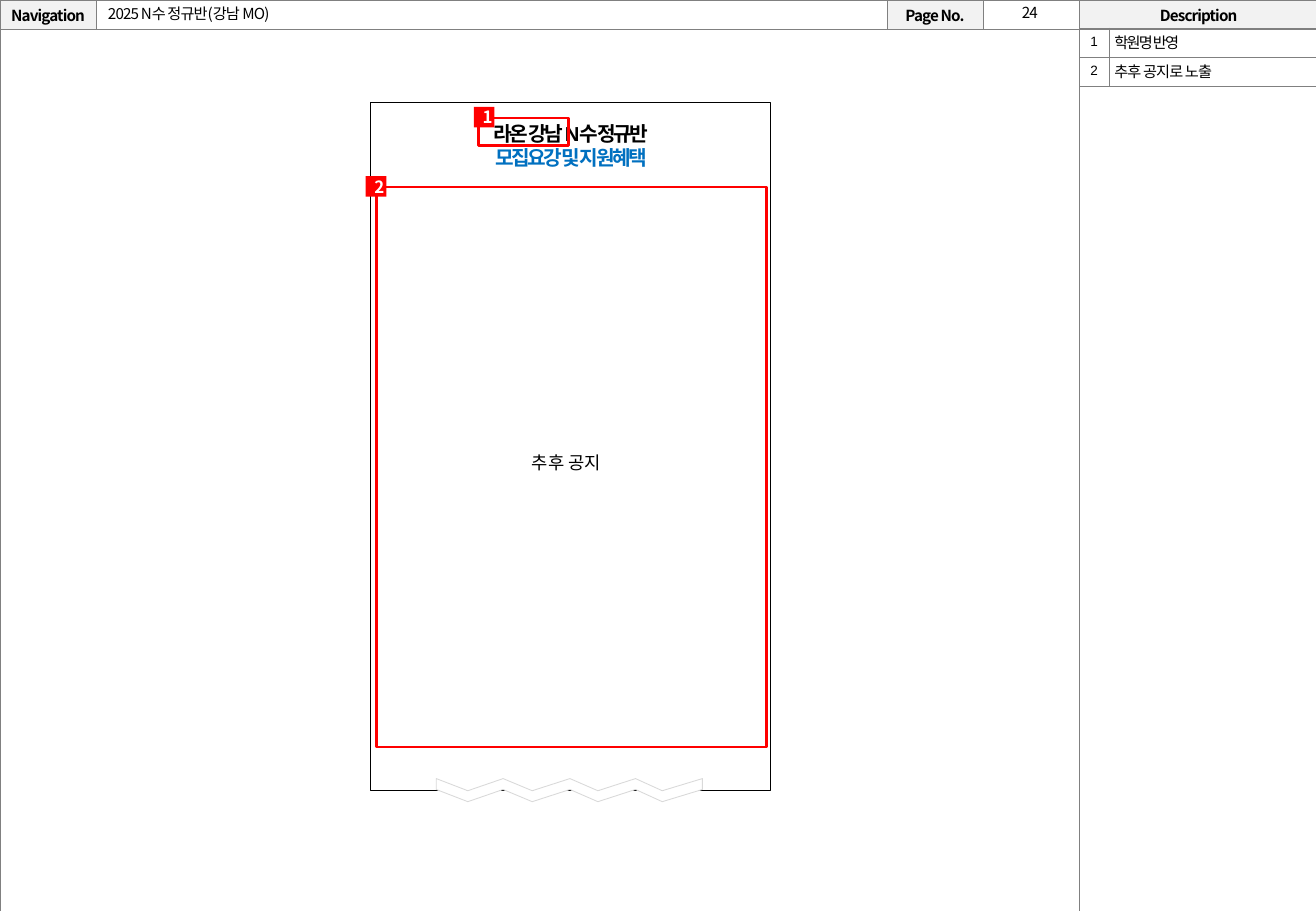
from lxml import etree
from pptx import Presentation
from pptx.dml.color import RGBColor
from pptx.enum import shapes, text
from pptx.oxml.ns import qn
from pptx.util import Inches, Pt

NOTO, ARIAL = "Noto Sans CJK KR", "Arial"
BLACK, WHITE, RED, GRAY = "000000", "FFFFFF", "FF0000", "808080"
LEFT, CENTER = text.PP_ALIGN.LEFT, text.PP_ALIGN.CENTER
MIDDLE = text.MSO_ANCHOR.MIDDLE


def rgb(hex_color):
    return RGBColor.from_string(hex_color)


def write(p, words, size=9, font=NOTO, color=BLACK, bold=False, spacing=0, align=LEFT):
    """Fill a paragraph; spacing is the letter spacing in points."""
    p.text = words
    p.alignment = align
    f = p.font
    f.size, f.name, f.bold = Pt(size), font, bold
    f.color.rgb = rgb(color)
    props = p._p.get_or_add_pPr().find(qn("a:defRPr"))
    props.set("spc", str(int(spacing * 100)))
    etree.SubElement(props, qn("a:ea")).set("typeface", NOTO)


def add_text(s, box, words, wrap=True, anchor=text.MSO_ANCHOR.TOP, **style):
    tf = s.shapes.add_textbox(*map(Inches, box)).text_frame
    tf.word_wrap = wrap
    tf.vertical_anchor = anchor
    write(tf.paragraphs[0], words, **style)
    return tf


def paint(sp, fill=None, line=None, width=0.25):
    sp.shadow.inherit = False
    if fill:
        sp.fill.solid()
        sp.fill.fore_color.rgb = rgb(fill)
    else:
        sp.fill.background()
    if line:
        sp.line.color.rgb = rgb(line)
        sp.line.width = Pt(width)
    else:
        sp.line.fill.background()


def add_rect(s, box, **look):
    sp = s.shapes.add_shape(shapes.MSO_SHAPE.RECTANGLE, *map(Inches, box))
    paint(sp, **look)
    return sp


def add_badge(s, left, top, number):
    tf = add_rect(s, (left, top, 0.17, 0.17), fill=RED).text_frame
    tf.vertical_anchor = MIDDLE
    write(tf.paragraphs[0], number, size=10, color=WHITE, bold=True, align=CENTER)


def add_torn_edge(s):
    xs = [3.59, 3.85, 4.14, 4.38, 4.69, 4.92, 5.23, 5.45, 5.78]
    top = [(Inches(x), Inches(6.41 + 0.1 * (i % 2))) for i, x in enumerate(xs)]
    bottom = [(x, y + Inches(0.09)) for x, y in reversed(top)]
    builder = s.shapes.build_freeform(*top[0])
    builder.add_line_segments(top[1:] + bottom, close=True)
    paint(builder.convert_to_shape(), fill=WHITE, line="D9D9D9", width=0.5)


def set_cell(cell, margin, fill=None, sides="LRTB"):
    """Set margins, fill and thin gray borders on the given sides."""
    cell.vertical_anchor = MIDDLE
    cell.margin_left = cell.margin_right = Inches(margin)
    cell.margin_top = cell.margin_bottom = Inches(margin)
    props = cell._tc.get_or_add_tcPr()
    for side in "LRTB":
        ln = etree.SubElement(props, qn("a:ln" + side), w="3175")
        if side in sides:
            solid = etree.SubElement(ln, qn("a:solidFill"))
            etree.SubElement(solid, qn("a:srgbClr"), val=GRAY)
        else:
            etree.SubElement(ln, qn("a:noFill"))
    if fill:
        cell.fill.solid()
        cell.fill.fore_color.rgb = rgb(fill)
    else:
        cell.fill.background()


def add_table(s, left, top, widths, heights):
    frame = s.shapes.add_table(len(heights), len(widths), Inches(left), Inches(top),
                               Inches(sum(widths)), Inches(sum(heights)))
    table = frame.table
    table.first_row = table.horz_banding = False
    for column, width in zip(table.columns, widths):
        column.width = Inches(width)
    for row, height in zip(table.rows, heights):
        row.height = Inches(height)
    return table


def add_page_frame(s):
    table = add_table(s, 0, 0, [0.79, 6.51, 0.79, 0.79, 1.97], [0.24, 7.27])
    labels = {0: "Navigation", 2: "Page No.", 4: "Description"}
    for row in range(2):
        for col in range(5):
            cell = table.cell(row, col)
            label = labels.get(col) if row == 0 else None
            set_cell(cell, 0, "F2F2F2" if label else WHITE)
            p = cell.text_frame.paragraphs[0]
            if label:
                write(p, label, bold=True, spacing=-0.5, align=CENTER)
            else:
                p._p.get_or_add_endParaRPr().set("sz", "900")
    table.cell(1, 0).merge(table.cell(1, 3))


def add_descriptions(s):
    notes = [("학원명 반영", -1), ("추후 공지로 노출", -0.5)]
    table = add_table(s, 8.88, 0.23, [0.25, 1.71], [0.24, 0.24])
    for row, (note, spacing) in enumerate(notes):
        number, detail = table.cell(row, 0), table.cell(row, 1)
        set_cell(number, 0.04, sides="RTB")
        set_cell(detail, 0.04, sides="LTB")
        write(number.text_frame.paragraphs[0], str(row + 1), size=8, font=ARIAL,
              spacing=-1, align=CENTER)
        write(detail.text_frame.paragraphs[0], note, font=ARIAL, spacing=spacing)
        for cell in (number, detail):
            cell.text_frame.paragraphs[0].line_spacing = 0.9


def main():
    prs = Presentation()
    prs.slide_width, prs.slide_height = Inches(10.83), Inches(7.5)
    s = prs.slides.add_slide(prs.slide_layouts[6])

    add_page_frame(s)
    add_text(s, (8.09, -0.02, 0.77, 0.25), "24", spacing=-0.5, align=CENTER)
    add_rect(s, (3.1, 1.54, 3.21, 4.61), line=RED, width=1.5)
    add_text(s, (0.79, 0, 6.52, 0.23), "2025 N수 정규반(강남 MO)", anchor=MIDDLE, spacing=-0.5)
    add_rect(s, (3.05, 0.84, 3.29, 5.67), line=BLACK)
    add_torn_edge(s)
    add_descriptions(s)

    heading = dict(size=12, font=ARIAL, bold=True, spacing=-1.5, align=CENTER)
    tf = add_text(s, (3.44, 0.95, 2.52, 0.5), "라온 강남 N수 정규반", **heading)
    write(tf.add_paragraph(), "모집요강 및 지원혜택", color="0070C0", **heading)
    add_rect(s, (3.94, 0.97, 0.74, 0.23), line=RED, width=1.5)
    add_badge(s, 3.9, 0.88, "1")
    add_badge(s, 3.01, 1.45, "2")
    add_text(s, (4.28, 3.67, 0.84, 0.28), "추후 공지", wrap=False, size=10.5, font=ARIAL)

    prs.save("out.pptx")


if __name__ == "__main__":
    main()
